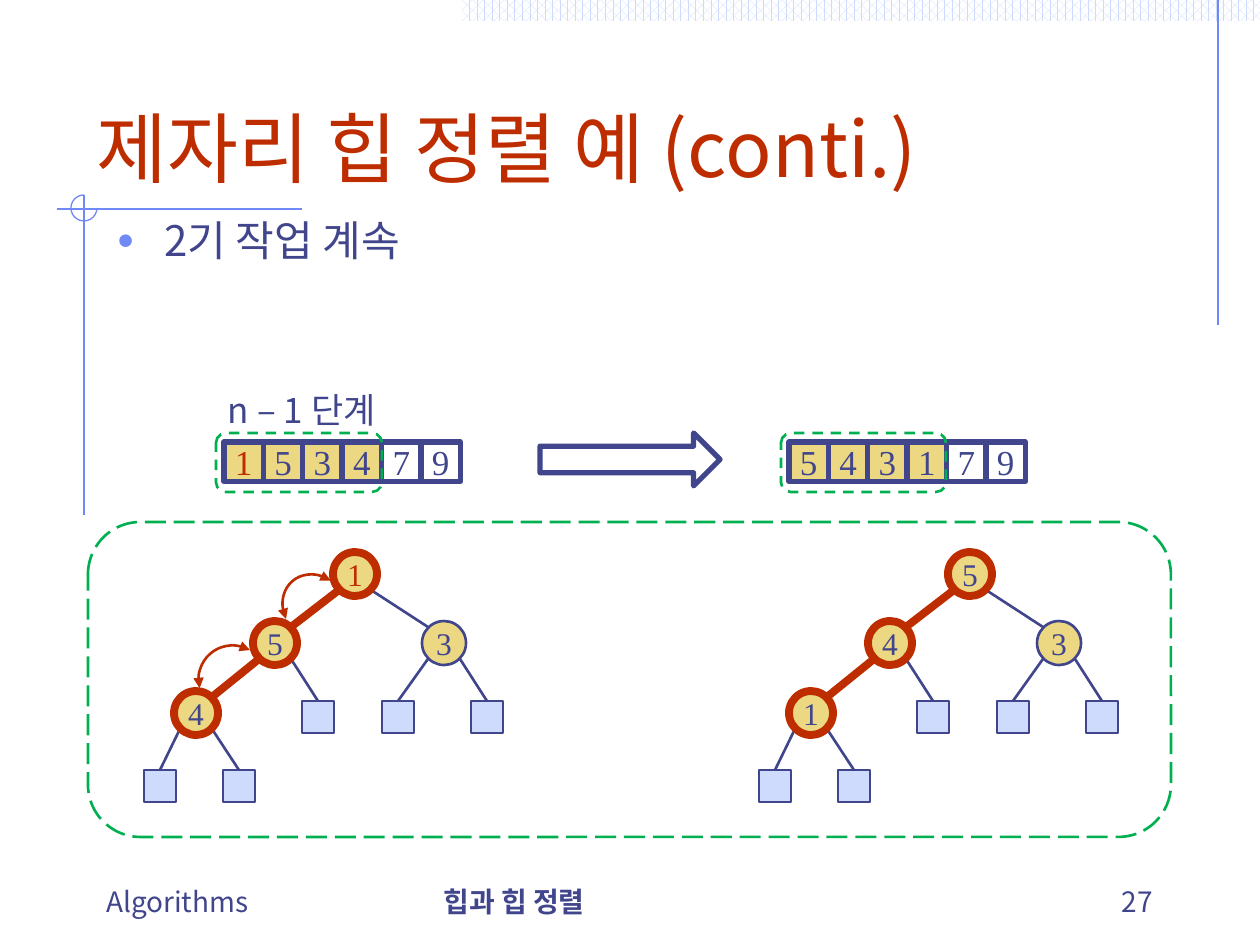
"""Build the in-place heap sort example slide."""
from lxml import etree
from pptx import Presentation
from pptx import util as u
from pptx.dml.color import RGBColor
from pptx.enum import dml, shapes, text
from pptx.oxml.ns import qn

COLORS = {"ink": "40458C", "red": "BE2D00", "gold": "ECD882", "pale": "CFDBFD",
          "blue": "6F89F7", "green": "00B050", "white": "FFFFFF"}
SANS, SERIF = "Noto Sans CJK KR", "Times New Roman"
SCALE = 914400 / 126
KIND, DASH = shapes.MSO_SHAPE, dml.MSO_LINE
ALIGN, ANCHOR = text.PP_ALIGN, text.MSO_ANCHOR

TITLE = ("제자리 힙 정렬 예 (conti.)", (84, 42, 1087, 157))
BODY = ("2기 작업 계속", (105, 214, 1057, 110))
STEP = ("n – 1 단계", (223, 383, 189, 53))
FOOTERS = [
    ("Algorithms", (94, 861, 299, 63), False, ALIGN.LEFT),
    ("힙과 힙 정렬", (431, 861, 399, 63), True, ALIGN.LEFT),
    ("27", (903, 861, 262, 63), False, ALIGN.RIGHT),
]
RULES = [(1218, 0, 1218, 325), (302, 209, 57, 209), (84, 195, 84, 515)]

CELL_TOP, CELL_SIZE, HEAP_CELLS = 442, 39.4, 4
ARRAYS = [
    {"left": 224, "values": "153479", "red": "1", "frame": (216, 433, 166, 59)},
    {"left": 789, "values": "543179", "red": "", "frame": (781, 433, 165, 59)},
]

NODES = {"root": (355, 574), "left": (275, 643), "right": (444, 643), "low": (196, 713)}
LEAVES = {"a": (160, 786), "b": (239, 786), "c": (318, 717), "d": (398, 717), "e": (487, 717)}
EDGES = [("root", "left"), ("root", "right"), ("left", "low"), ("left", "c"),
         ("right", "d"), ("right", "e"), ("low", "a"), ("low", "b")]
HOT_PATH = ("root", "left", "low")
NODE_SIZE, LEAF_SIZE, RIM = 44, 32, 16
TREES = [
    {"shift": 0, "labels": dict(root="1", left="5", right="3", low="4"), "red": "1"},
    {"shift": 615, "labels": dict(root="5", left="4", right="3", low="1"), "red": ""},
]
SWAPS = [((198, 646, 71, 69), 228.9, (178.98, 41.78)),
         ((280, 577, 71, 62), 229.3, (174.14, 41.78))]


def px(*lengths):
    return [u.Emu(round(length * SCALE)) for length in lengths]


def rgb(name):
    return RGBColor.from_string(COLORS[name])


def assign(target, values):
    for name, value in values.items():
        setattr(target, name, value)


def write(box, words, size, color="ink", font=SANS, bold=False, margins=None, **frame_format):
    frame = box.text_frame
    assign(frame, {"word_wrap": True, "auto_size": text.MSO_AUTO_SIZE.NONE})
    para = frame.paragraphs[0]
    para.alignment = frame_format.pop("align", ALIGN.LEFT)
    assign(frame, frame_format)
    if margins is not None:
        sides = ("left", "top", "right", "bottom")
        assign(frame, {f"margin_{side}": px(margins)[0] for side in sides})
    span = para.add_run()
    span.text = words
    assign(span.font, {"size": u.Pt(size), "bold": bold, "name": font})
    span.font.color.rgb = rgb(color)
    etree.SubElement(span.font._element, qn("a:ea"), typeface=font)
    return para


def outline(item, color, width, dash=None):
    item.line.color.rgb = rgb(color)
    item.line.width = u.Pt(width)
    if dash:
        item.line.dash_style = dash


def draw(kind, place, line=None, width=1.5, fill=None, dash=None):
    shape = page.shapes.add_shape(kind, *px(*place))
    shape.shadow.inherit = False
    if fill:
        shape.fill.solid()
        shape.fill.fore_color.rgb = rgb(fill)
    else:
        shape.fill.background()
    if line:
        outline(shape, line, width, dash)
    else:
        shape.line.fill.background()
    return shape


def connect(ends, color, width):
    line = page.shapes.add_connector(shapes.MSO_CONNECTOR.STRAIGHT, *px(*ends))
    outline(line, color, width)
    etree.SubElement(line._element.spPr, qn("a:effectLst"))


def arc(place, angles, color, width):
    curve = draw(KIND.ARC, place, color, width)
    for index, angle in enumerate(angles):
        curve.adjustments[index] = angle
    return curve


def label(shape, words, size, color):
    write(shape, words, size, color, SERIF, margins=0, word_wrap=False,
          align=ALIGN.CENTER, vertical_anchor=ANCHOR.MIDDLE)


def centred(center, size):
    return center[0] - size / 2, center[1] - size / 2, size, size


def draw_array(array):
    for index, value in enumerate(array["values"]):
        place = (array["left"] + index * CELL_SIZE, CELL_TOP, CELL_SIZE, CELL_SIZE)
        cell = draw(KIND.RECTANGLE, place, "ink", 3, "gold" if index < HEAP_CELLS else "white")
        label(cell, value, 20, "red" if value == array["red"] else "ink")
    draw(KIND.ROUNDED_RECTANGLE, array["frame"], "green", dash=DASH.DASH)


def draw_tree(tree):
    spots = {name: (x + tree["shift"], y) for name, (x, y) in {**NODES, **LEAVES}.items()}
    for parent, child in EDGES:
        (px0, py0), (cx, cy) = spots[parent], spots[child]
        side = RIM if cx > px0 else -RIM
        end = (cx - side, cy - RIM) if child in NODES else (cx, cy - LEAF_SIZE / 2)
        hot = parent in HOT_PATH and child in HOT_PATH
        connect((px0 + side, py0 + RIM, *end), *(("red", 4.5) if hot else ("ink", 1.5)))
    for name in LEAVES:
        draw(KIND.RECTANGLE, centred(spots[name], LEAF_SIZE), "ink", fill="pale")
    for name, value in tree["labels"].items():
        rim = ("red", 4.5) if name in HOT_PATH else ("ink", 1.5)
        node = draw(KIND.OVAL, centred(spots[name], NODE_SIZE), *rim, fill="gold")
        label(node, value, 18, "red" if value == tree["red"] else "ink")


deck = Presentation()
deck.slide_width, deck.slide_height = px(1260, 945)
page = deck.slides.add_slide(deck.slide_layouts[1])
heading, body = page.placeholders
for box, place in ((heading, TITLE[1]), (body, BODY[1])):
    assign(box, dict(zip(("left", "top", "width", "height"), px(*place))))

band = draw(KIND.RECTANGLE, (462, 0, 798, 21))
band.fill.patterned()
band.fill.pattern = dml.MSO_PATTERN.PERCENT_60
band.fill.fore_color.rgb, band.fill.back_color.rgb = rgb("pale"), rgb("white")
for ends in RULES:
    connect(ends, "blue", 0.75)
arc((71, 195, 26, 26), (0, 162), "blue", 0.75)

write(heading, TITLE[0], 44, "red", vertical_anchor=ANCHOR.BOTTOM)
item = write(body, BODY[0], 24, vertical_anchor=ANCHOR.TOP)
assign(item, {"line_spacing": 0.9, "space_before": u.Pt(5)})
props = item._p.get_or_add_pPr()
assign_indent = {"marL": px(47)[0], "indent": px(-47)[0]}
for name, value in assign_indent.items():
    props.set(name, str(int(value)))
bullet_color = etree.SubElement(props, qn("a:buClr"))
etree.SubElement(bullet_color, qn("a:srgbClr"), val=COLORS["blue"])
etree.SubElement(props, qn("a:buSzPct"), val="110000")
etree.SubElement(props, qn("a:buChar"), char="•")

for words, place, bold, align in FOOTERS:
    footer = page.shapes.add_textbox(*px(*place))
    write(footer, words, 16, bold=bold, align=align, vertical_anchor=ANCHOR.BOTTOM)
step = page.shapes.add_textbox(*px(*STEP[1]))
write(step, STEP[0], 20, margins=5, vertical_anchor=ANCHOR.MIDDLE)

draw(KIND.ROUNDED_RECTANGLE, (88, 522, 1083, 315), "green", dash=DASH.LONG_DASH)
draw(KIND.RIGHT_ARROW, (540, 433, 180, 53), "ink", 3)
for array in ARRAYS:
    draw_array(array)
for tree in TREES:
    draw_tree(tree)
for place, turn, angles in SWAPS:
    swap = arc(place, angles, "red", 1.5)
    swap.rotation = turn
    for end in ("a:headEnd", "a:tailEnd"):
        etree.SubElement(swap.line._get_or_add_ln(), qn(end), type="triangle")

deck.save("out.pptx")
